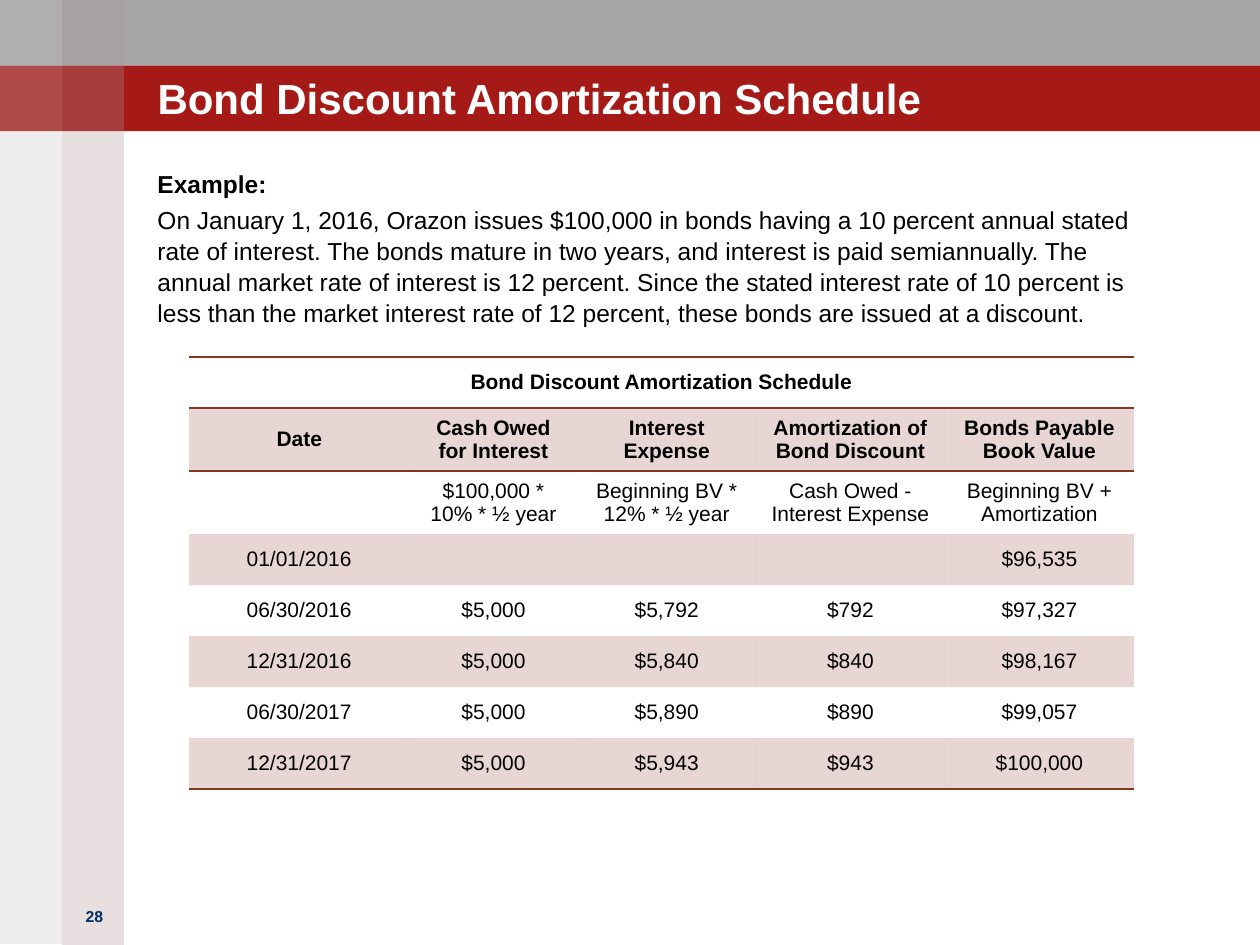
from pptx import Presentation
from pptx.dml.color import RGBColor
from pptx.enum.shapes import MSO_SHAPE as Geo
from pptx.enum.text import MSO_ANCHOR as Anchor, PP_ALIGN as Align
from pptx.oxml import parse_xml
from pptx.oxml.ns import nsdecls
from pptx.util import Inches, Pt

COLS, ROWS = 120, 90
PLAIN = "{2D5ABB26-0587-4C30-8999-92F81FD0307C}"
RED, RUST, GREY, WHITE, BLACK, NAVY = (
    "A51A17", "873624", "A6A6A6", "FFFFFF", "000000", "002E62")

STORY = (
    "On January 1, 2016, Orazon issues $100,000 in bonds having a 10 percent "
    "annual stated rate of interest. The bonds mature in two years, and "
    "interest is paid semiannually. The annual market rate of interest is 12 "
    "percent. Since the stated interest rate of 10 percent is less than the "
    "market interest rate of 12 percent, these bonds are issued at a discount.")
HEAD = "Bond Discount Amortization Schedule"
DATA = [
    [HEAD, "", "", "", ""],
    ["Date", "Cash Owed for Interest", "Interest Expense",
     "Amortization of Bond Discount", "Bonds Payable Book Value"],
    ["", "$100,000 * 10% * ½ year", "Beginning BV * 12% * ½ year",
     "Cash Owed - Interest Expense", "Beginning BV + Amortization"],
    ["01/01/2016", "", "", "", "$96,535"],
    ["06/30/2016", "$5,000", "$5,792", "$792", "$97,327"],
    ["12/31/2016", "$5,000", "$5,840", "$840", "$98,167"],
    ["06/30/2017", "$5,000", "$5,890", "$890", "$99,057"],
    ["12/31/2017", "$5,000", "$5,943", "$943", "$100,000"],
]


def rgb(code):
    return RGBColor.from_string(code)


class Deck:
    """Holds the style and the slide; lengths are cells of a 120 by 90 grid."""

    def __init__(self, font="Arial"):
        self.font = font
        self.prs = Presentation()
        self.prs.slide_width, self.prs.slide_height = Inches(10), Inches(7.5)
        self.slide = self.prs.slides.add_slide(self.prs.slide_layouts[6])

    def wide(self, n):
        return round(self.prs.slide_width * n / COLS)

    def tall(self, n):
        return round(self.prs.slide_height * n / ROWS)

    def place(self, x, y, w, h):
        return self.wide(x), self.tall(y), self.wide(w), self.tall(h)

    def paint(self, item, node, code, alpha):
        """Fill a shape or cell that has no text yet; alpha is in percent."""
        item.fill.solid()
        item.fill.fore_color.rgb = rgb(code)
        if alpha < 100:
            tint = node.xpath(".//a:solidFill/a:srgbClr")[0]
            tint.append(parse_xml(
                f'<a:alpha {nsdecls("a")} val="{alpha * 1000}"/>'))

    def block(self, x, y, w, h, code, alpha=100):
        box = self.slide.shapes.add_shape(Geo.RECTANGLE, *self.place(x, y, w, h))
        box.shadow.inherit = False
        self.paint(box, box._element, code, alpha)
        box.line.fill.background()

    def label(self, para, words, size, code=BLACK, bold=False, align=Align.LEFT):
        para.alignment = align
        run = para.add_run()
        run.text = words
        font = run.font
        font.name, font.size, font.bold = self.font, Pt(size), bold
        font.color.rgb = rgb(code)

    def frame(self, x, y, w, h, anchor=Anchor.TOP, inset=True):
        text = self.slide.shapes.add_textbox(*self.place(x, y, w, h)).text_frame
        text.word_wrap, text.vertical_anchor = True, anchor
        if not inset:
            text.margin_left = text.margin_right = 0
            text.margin_top = text.margin_bottom = 0
        return text

    def rule(self, cell, sides):
        """Draw borders on the sides named, T before B."""
        for spot, side in enumerate(sides):
            cell._tc.get_or_add_tcPr().insert(spot, parse_xml(
                f'<a:ln{side} {nsdecls("a")} w="12700"><a:solidFill>'
                f'<a:srgbClr val="{RUST}"/></a:solidFill></a:ln{side}>'))

    def table(self, x, y, cols, step, data):
        spot = self.place(x, y, sum(cols), step * len(data))
        grid = self.slide.shapes.add_table(len(data), len(cols), *spot).table
        grid.first_row = grid.horz_banding = False
        grid._tbl.tblPr[0].text = PLAIN
        for col, width in zip(grid.columns, cols):
            col.width = self.wide(width)
        last = len(data) - 1
        for r, line in enumerate(data):
            grid.rows[r].height = self.tall(step)
            for c, words in enumerate(line):
                cell = grid.cell(r, c)
                cell.vertical_anchor = Anchor.MIDDLE
                if r % 2:
                    self.paint(cell, cell._tc, RUST, 20)
                else:
                    cell.fill.background()
                self.rule(cell, {0: "TB", 1: "T", last: "B"}.get(r, ""))
                if words:
                    self.label(cell.text_frame.paragraphs[0], words, 12,
                               bold=r < 2, align=Align.CENTER)
        grid.cell(0, 0).merge(grid.cell(0, len(cols) - 1))


def main():
    deck = Deck()
    band, strip = 6.25, 5.9
    deck.block(0, 0, COLS, band, GREY)
    deck.block(0, band, COLS, band, RED)
    deck.block(strip, 0, strip, ROWS, "A08284", 25)
    deck.block(0, 0, strip, ROWS - 0.1, "938F8F", 15)
    for y in (0, band):
        deck.block(strip, y, strip, band, WHITE, 5)
        deck.block(0, y, strip, band, WHITE, 15)

    page = deck.frame(6, 85.8, 6, 4.2)
    deck.label(page.paragraphs[0], "28", 9, NAVY, True, Align.CENTER)

    title = deck.frame(15, 3.75, 94, 8, Anchor.BOTTOM, inset=False)
    deck.label(title.paragraphs[0], HEAD, 24, WHITE, True)

    body = deck.frame(15, 16, 96, 63, inset=False)
    for para, words, bold in ((body.paragraphs[0], "Example:", True),
                              (body.add_paragraph(), STORY, False)):
        para.space_before, para.line_spacing = Pt(2.8), 1.05
        deck.label(para, words, 14, bold=bold)

    deck.table(18, 34, (21, 16, 17, 18, 18), 4.86, DATA)
    deck.prs.save("out.pptx")


if __name__ == "__main__":
    main()
